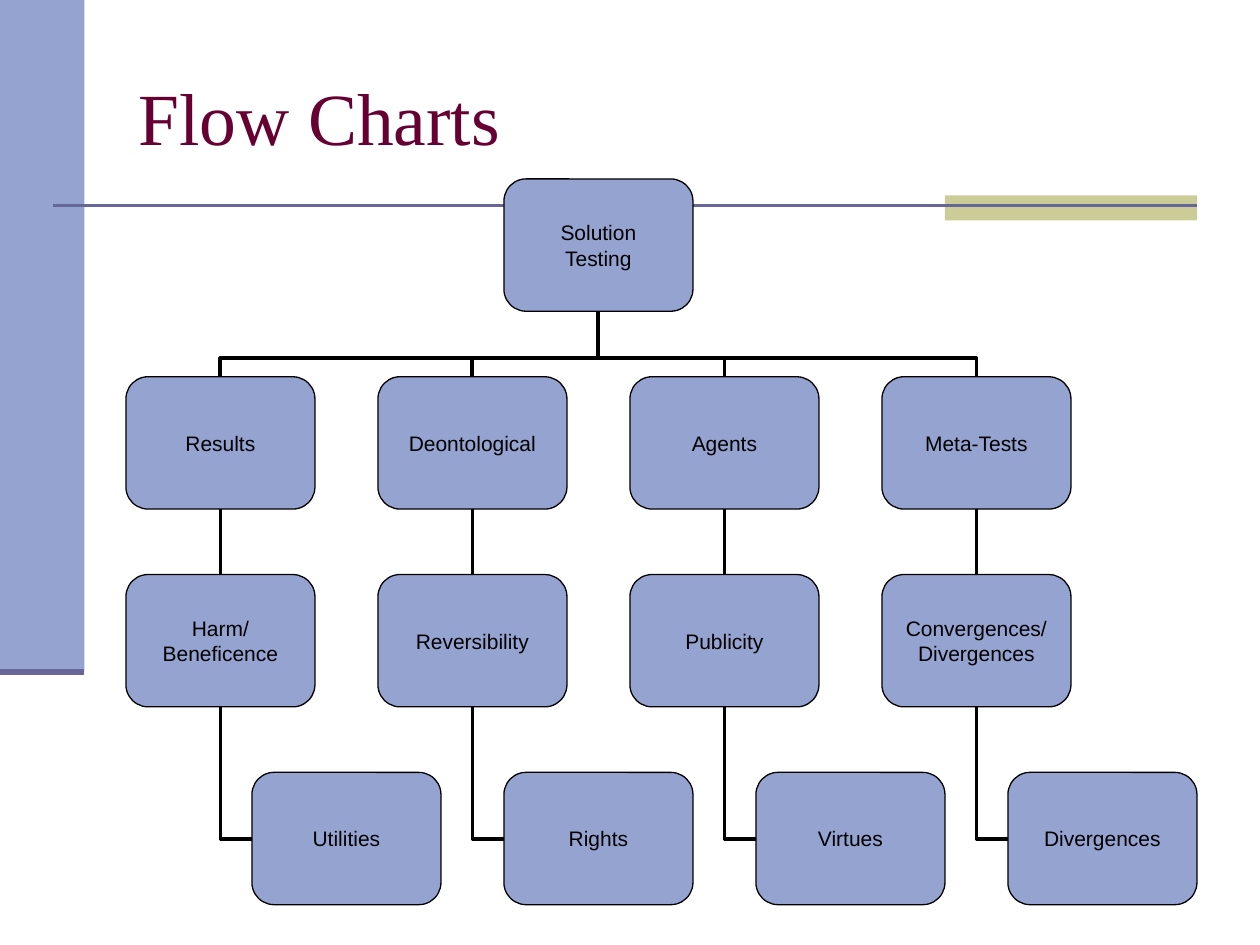
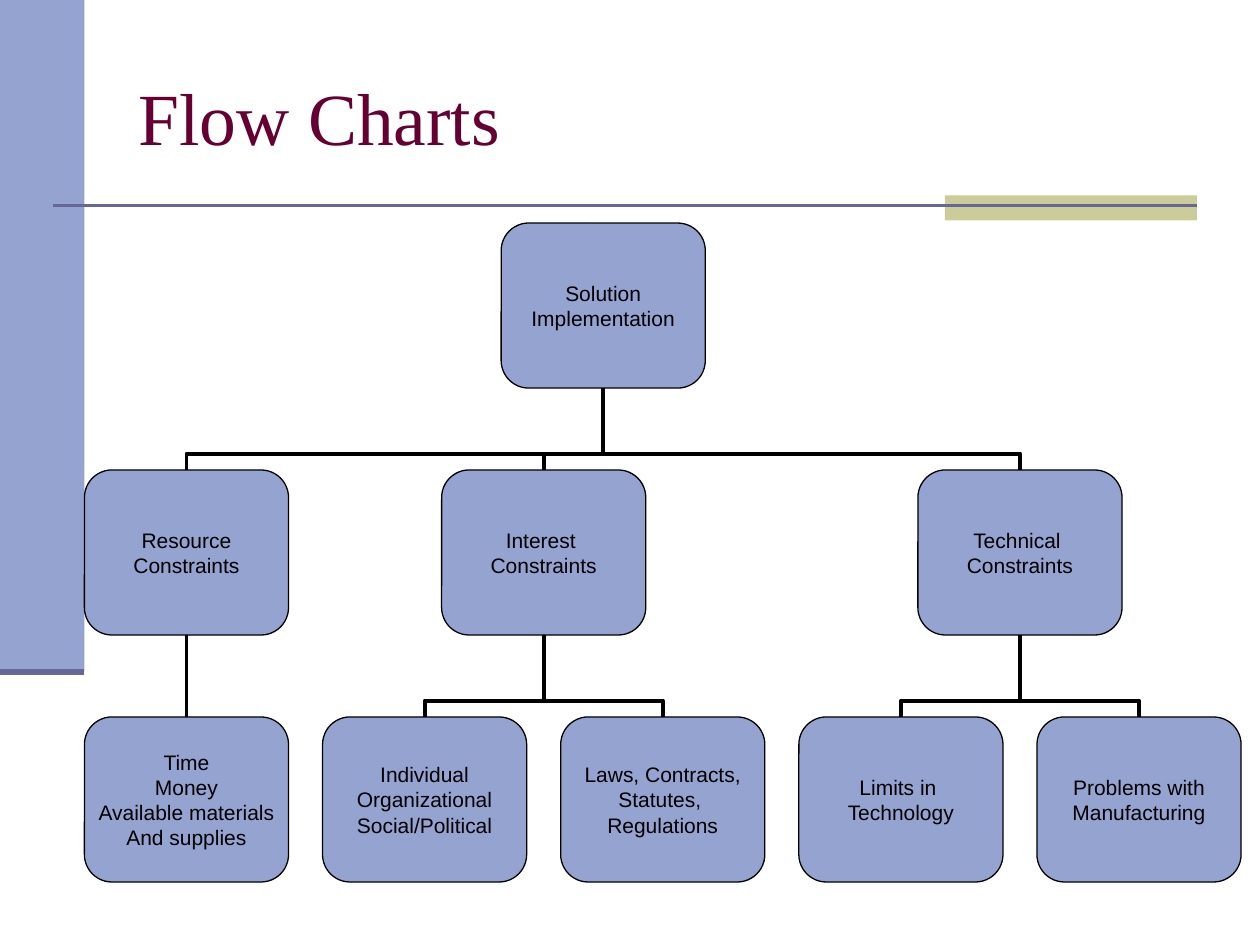
from collections import namedtuple

from lxml import etree
from pptx import Presentation
from pptx.dml.color import RGBColor
from pptx.enum.shapes import MSO_CONNECTOR, MSO_SHAPE
from pptx.enum.text import MSO_ANCHOR, MSO_AUTO_SIZE, PP_ALIGN
from pptx.oxml.ns import qn
from pptx.util import Inches, Pt

STRAIGHT, ELBOW = MSO_CONNECTOR.STRAIGHT, MSO_CONNECTOR.ELBOW
RECTANGLE, ROUNDED = MSO_SHAPE.RECTANGLE, MSO_SHAPE.ROUNDED_RECTANGLE
MIDDLE = MSO_ANCHOR.MIDDLE
LEFT, CENTER = PP_ALIGN.LEFT, PP_ALIGN.CENTER
NO_FIT = MSO_AUTO_SIZE.NONE
TOP_SIDE, LEFT_SIDE, BOTTOM_SIDE = 0, 1, 2

BLUE = RGBColor(0x95, 0xA3, 0xD1)
KHAKI = RGBColor(0xCC, 0xCC, 0x99)
SLATE = RGBColor(0x66, 0x66, 0x99)
MAROON = RGBColor(0x66, 0x00, 0x33)
BLACK = RGBColor(0, 0, 0)
TITLE_FONT, BOX_FONT = "Times New Roman", "Arial"

Grid = namedtuple("Grid", "left top column_step row_step width height bend")
Node = namedtuple("Node", "column text children hangs", defaults=((), False))

TESTING_GRID = Grid(1, 1.42, 2, 1.57, 1.5, 1.05, 0.28)
TESTS = [
    ("Results", "Harm/\nBeneficence", "Utilities"),
    ("Deontological", "Reversibility", "Rights"),
    ("Agents", "Publicity", "Virtues"),
    ("Meta-Tests", "Convergences/\nDivergences", "Divergences"),
]
TESTING = Node(1.5, "Solution\nTesting", [
    Node(column, group, [Node(column, test, [Node(column + 0.5, basis, hangs=True)])])
    for column, (group, test, basis) in enumerate(TESTS)
])

CONSTRAINT_GRID = Grid(0.67, 1.77, 1.89, 1.96, 1.62, 1.31, 0.2)
CONSTRAINTS = Node(1.75, "Solution\nImplementation", [
    Node(0, "Resource\nConstraints", [
        Node(0, "Time\nMoney\nAvailable materials\nAnd supplies"),
    ]),
    Node(1.5, "Interest \nConstraints", [
        Node(1, "Individual\nOrganizational\nSocial/Political"),
        Node(2, "Laws, Contracts,\nStatutes, \nRegulations"),
    ]),
    Node(3.5, "Technical \nConstraints", [
        Node(3, "Limits in \nTechnology"),
        Node(4, "Problems with\nManufacturing"),
    ]),
])


def add_span(para, text, font, size, color):
    span = para.add_run()
    span.text = text
    span.font.name = font
    span.font.size = Pt(size)
    span.font.color.rgb = color


def add_block(page, preset, left, top, width, height, color):
    block = page.shapes.add_shape(
        preset, Inches(left), Inches(top), Inches(width), Inches(height))
    block.shadow.inherit = False
    block.fill.solid()
    block.fill.fore_color.rgb = color
    block.line.fill.background()
    return block


def add_line(page, kind, color, weight, left=0, top=0, right=0, bottom=0):
    line = page.shapes.add_connector(
        kind, Inches(left), Inches(top), Inches(right), Inches(bottom))
    line.line.color.rgb = color
    line.line.width = Pt(weight)
    etree.SubElement(line._element.spPr, qn("a:effectLst"))
    return line


def add_backdrop(page):
    add_block(page, RECTANGLE, 0, 0, 0.67, 5.33, BLUE)
    add_block(page, RECTANGLE, 7.5, 1.55, 2, 0.2, KHAKI)
    add_line(page, STRAIGHT, SLATE, 1.5, 0.42, 1.63, 9.5, 1.63)
    add_line(page, STRAIGHT, SLATE, 3.5, 0, 5.33, 0.67, 5.33)


def format_title(page, text):
    title = page.shapes.title
    title.left, title.top = Inches(1), Inches(0.3)
    title.width, title.height = Inches(8.5), Inches(1.25)
    frame = title.text_frame
    frame.auto_size = NO_FIT
    frame.vertical_anchor = MIDDLE
    frame.paragraphs[0].alignment = LEFT
    add_span(frame.paragraphs[0], text, TITLE_FONT, 42, MAROON)


def add_node_box(page, grid, node, row):
    box = add_block(
        page, ROUNDED, grid.left + node.column * grid.column_step,
        grid.top + row * grid.row_step, grid.width, grid.height, BLUE)
    box.line.color.rgb = BLACK
    box.line.width = Pt(0.75)
    frame = box.text_frame
    frame.word_wrap = False
    frame.vertical_anchor = MIDDLE
    frame.margin_left = frame.margin_right = 0
    frame.margin_top = frame.margin_bottom = 0
    for index, text in enumerate(node.text.split("\n")):
        para = frame.add_paragraph() if index else frame.paragraphs[0]
        para.alignment = CENTER
        add_span(para, text, BOX_FONT, 12, BLACK)
    return box


def shape_elbow(elbow, left, top, width, height, rotation, flips):
    elbow.left, elbow.top = int(left), int(top)
    elbow.width, elbow.height = int(width), int(height)
    frame = elbow._element.spPr.find(qn("a:xfrm"))
    frame.set("rot", str(rotation * 60000))
    for flip in ("flipH", "flipV"):
        frame.set(flip, "1" if flip in flips else "0")
    return elbow._element.spPr.find(qn("a:prstGeom"))


def link_boxes(page, child, parent, hangs, bend):
    child_x = child.left + child.width // 2
    parent_x = parent.left + parent.width // 2
    parent_bottom = parent.top + parent.height
    aligned = child_x == parent_x
    line = add_line(page, STRAIGHT if aligned else ELBOW, BLACK, 2.25)
    line.begin_connect(child, LEFT_SIDE if hangs else TOP_SIDE)
    line.end_connect(parent, BOTTOM_SIDE)
    if aligned:
        return
    if hangs:
        drop = child.top + child.height // 2 - parent_bottom
        geometry = shape_elbow(
            line, parent_x, parent_bottom, child.left - parent_x, drop, 180, ())
        geometry.set("prst", "bentConnector2")
        return
    rise, run = child.top - parent_bottom, abs(child_x - parent_x)
    rotation, flips = (
        (270, ("flipV",)) if child_x > parent_x else (90, ("flipH", "flipV")))
    geometry = shape_elbow(
        line, (child_x + parent_x - rise) / 2,
        (child.top + parent_bottom - run) / 2, rise, run, rotation, flips)
    etree.SubElement(geometry.find(qn("a:avLst")), qn("a:gd"),
                     name="adj1", fmla=f"val {round(bend * 100000)}")


def add_tree(page, grid, node, row=0):
    box = add_node_box(page, grid, node, row)
    for child in node.children:
        child_box = add_tree(page, grid, child, row + 1)
        link_boxes(page, child_box, box, child.hangs, grid.bend)
    return box


def add_flow_page(deck, grid, root):
    page = deck.slides.add_slide(deck.slide_layouts[5])
    add_backdrop(page)
    format_title(page, "Flow Charts")
    add_tree(page, grid, root)


def main():
    deck = Presentation()
    deck.slide_width, deck.slide_height = Inches(10), Inches(7.5)
    add_flow_page(deck, TESTING_GRID, TESTING)
    add_flow_page(deck, CONSTRAINT_GRID, CONSTRAINTS)
    deck.save("out.pptx")


if __name__ == "__main__":
    main()
